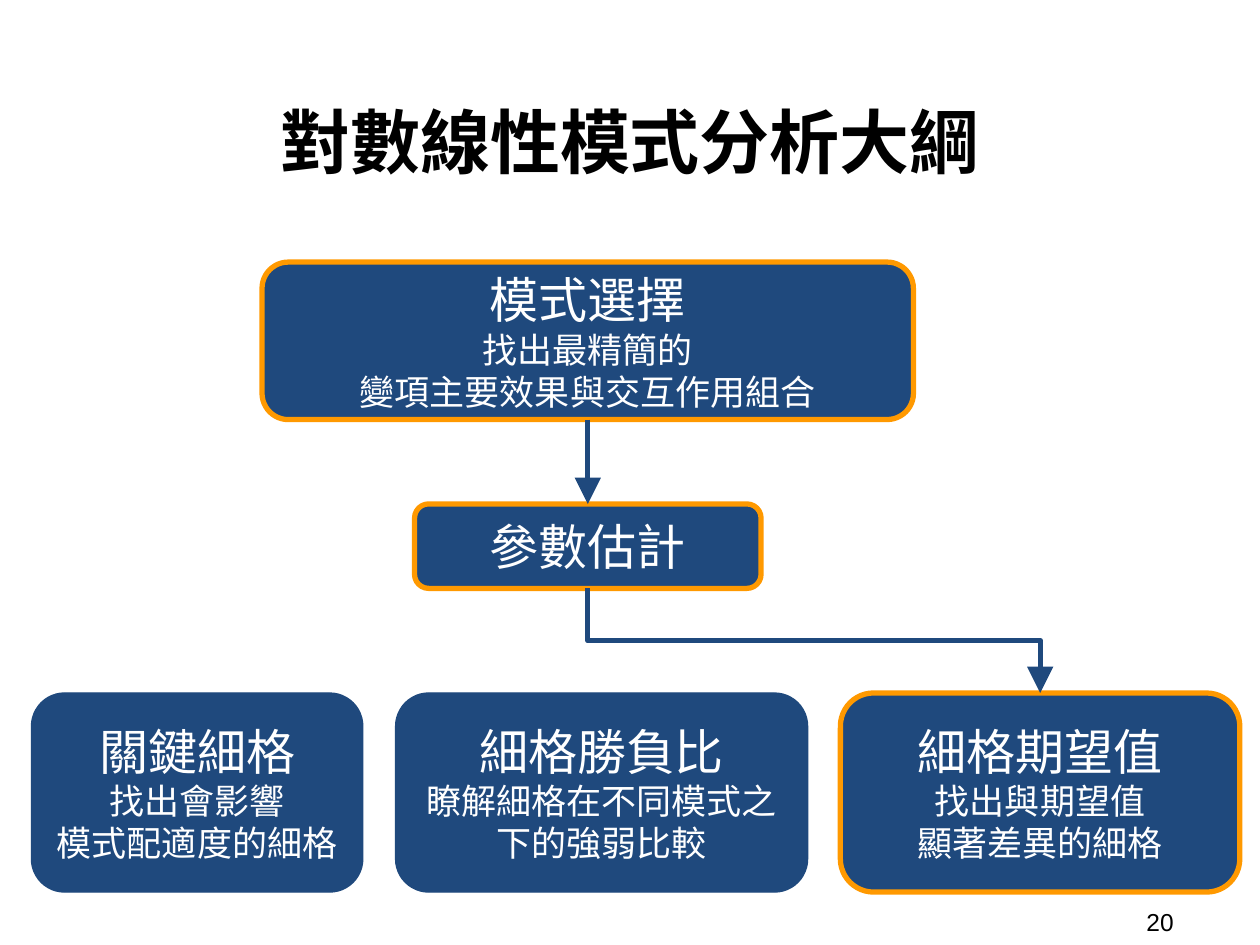
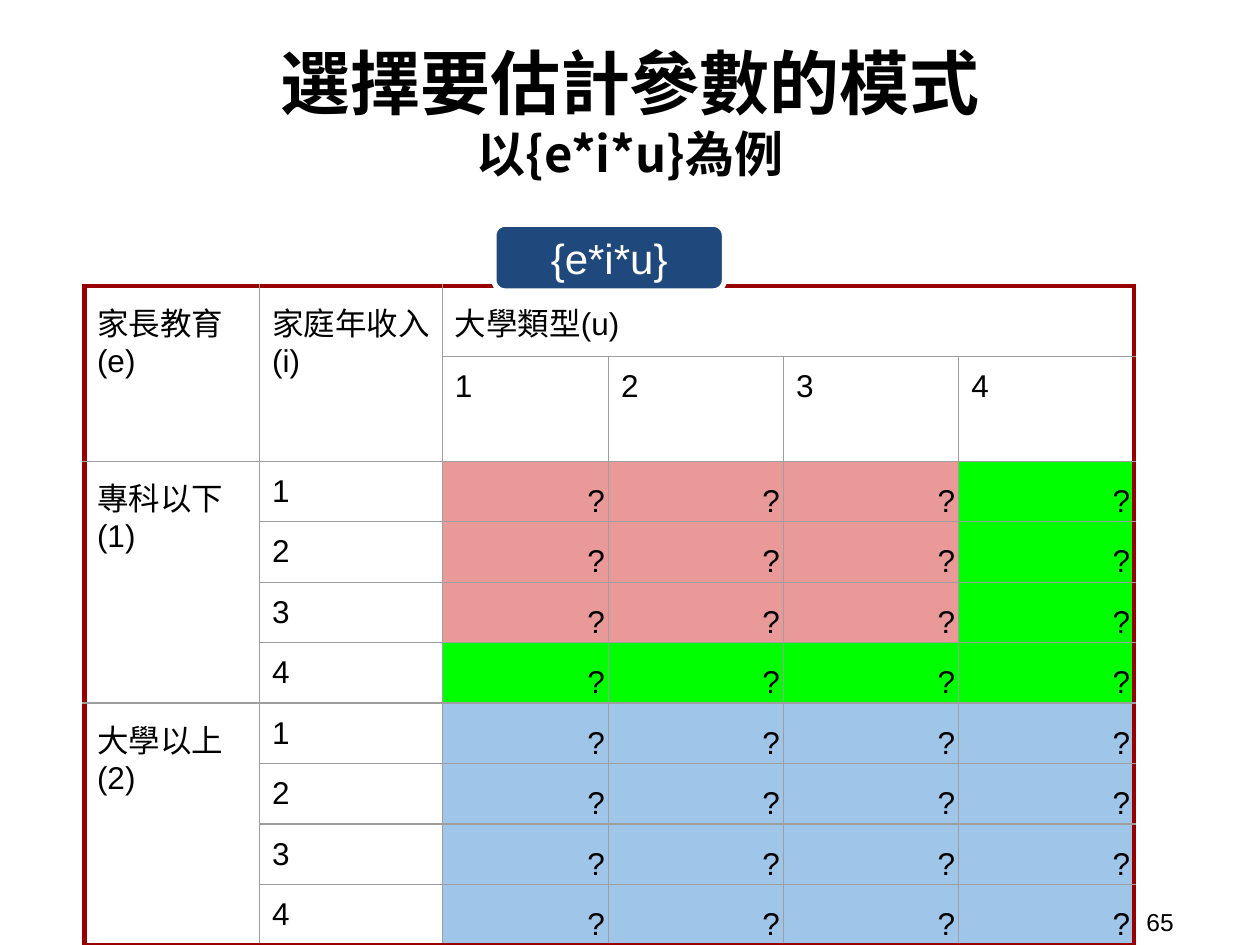
from lxml.etree import SubElement
from pptx import Presentation
from pptx.dml.color import RGBColor
from pptx.enum.shapes import MSO_CONNECTOR, MSO_SHAPE
from pptx.enum.text import MSO_ANCHOR, PP_ALIGN
from pptx.oxml.ns import qn
from pptx.util import Inches, Pt

# Shared look
NAVY, ORANGE, WHITE, BLACK = "1F497D", "FF9900", "FFFFFF", "000000"
GREY, DARK_RED = "9E9E9E", "980000"
PINK, GREEN, BLUE = "EA9999", "00FF00", "9FC5E8"
LATIN, HAN = "Arial", "Noto Sans CJK TC"


def color(code):
    return RGBColor.from_string(code)


def write(frame, lines, size=18, font=LATIN, ink=BLACK, bold=False,
          align=PP_ALIGN.LEFT, anchor=MSO_ANCHOR.TOP, pad=(0.1, 0.1)):
    """Fill a frame; each line is text or a (text, size) pair, \\v breaks a line."""
    frame.word_wrap = True
    frame.vertical_anchor = anchor
    frame.margin_left = frame.margin_right = Inches(pad[0])
    frame.margin_top = frame.margin_bottom = Inches(pad[1])
    for i, line in enumerate(lines):
        text, points = line if isinstance(line, tuple) else (line, size)
        para = frame.add_paragraph() if i else frame.paragraphs[0]
        para.text = text
        para.alignment = align
        for run in para.runs:
            run.font.size = Pt(points)
            run.font.bold = bold
            run.font.name = font
            run.font.color.rgb = color(ink)
            SubElement(run.font._element, qn("a:ea"), typeface=HAN)


def text_box(slide, box, lines, **style):
    shape = slide.shapes.add_textbox(*map(Inches, box))
    write(shape.text_frame, lines, **style)


def new_slide(deck, title, number):
    """Add a slide with its title and page number."""
    slide = deck.slides.add_slide(deck.slide_layouts[6])
    text_box(slide, (0.52, 0.19, 8.96, 1.36), title, size=40, font=HAN,
             bold=True, align=PP_ALIGN.CENTER, anchor=MSO_ANCHOR.BOTTOM)
    text_box(slide, (9, 7.17, 0.92, 0.29), [number], size=14,
             anchor=MSO_ANCHOR.MIDDLE, pad=(0.1, 0.05))
    return slide


def node(slide, box, lines, edge=ORANGE, width=3):
    """Draw a navy rounded box with centred white text."""
    shape = slide.shapes.add_shape(MSO_SHAPE.ROUNDED_RECTANGLE, *map(Inches, box))
    shape.shadow.inherit = False
    shape.fill.solid()
    shape.fill.fore_color.rgb = color(NAVY)
    shape.line.color.rgb = color(edge)
    shape.line.width = Pt(width)
    write(shape.text_frame, lines, size=28, ink=WHITE,
          align=PP_ALIGN.CENTER, anchor=MSO_ANCHOR.MIDDLE)
    return shape


def arrow(slide, upper, lower, bent=False):
    """Lead from the bottom of one box to the top of another."""
    kind = MSO_CONNECTOR.ELBOW if bent else MSO_CONNECTOR.STRAIGHT
    link = slide.shapes.add_connector(kind, 0, 0, 0, 0)
    link.begin_connect(upper, 2)
    link.end_connect(lower, 0)
    if bent:  # turn the elbow so that it leaves downwards
        across, down = link.width, link.height
        mid_x, mid_y = link.left + across // 2, link.top + down // 2
        link.left, link.top = mid_x - down // 2, mid_y - across // 2
        link.width, link.height = down, across
        frame = link._element.spPr.find(qn("a:xfrm"))
        frame.set("rot", "16200000")
        frame.set("flipH", "1")
    link.line.color.rgb = color(NAVY)
    link.line.width = Pt(3)
    SubElement(link.line._get_or_add_ln(), qn("a:tailEnd"),
               type="triangle", w="lg", len="lg")
    SubElement(link._element.spPr, qn("a:effectLst"))


def outline(slide):
    """Draw the flow of the analysis."""
    choice = node(slide, (2.08, 2.08, 5.17, 1.25),
                  ["模式選擇", ("找出最精簡的\v變項主要效果與交互作用組合", 20)])
    top, high = 5.5, 1.58
    node(slide, (0.25, top, 2.63, high),
         ["關鍵細格", ("找出會影響\v模式配適度的細格", 20)], edge=NAVY, width=0.75)
    node(slide, (3.14, top, 3.27, high),
         ["細格勝負比", ("瞭解細格在不同模式之下的強弱比較", 20)],
         edge=NAVY, width=0.75)
    hope = node(slide, (6.67, top, 3.17, high),
                ["細格期望值", ("找出與期望值", 20), ("顯著差異的細格", 20)])
    guess = node(slide, (3.29, 4, 2.75, 0.67), ["參數估計"])
    arrow(slide, choice, guess)
    arrow(slide, guess, hope, bent=True)


def border(cell, outer):
    """Rule the four sides: thick red where outer, thin grey elsewhere."""
    props = cell._tc.get_or_add_tcPr()
    for side in "LRTB":
        ink, width = (DARK_RED, 3) if side in outer else (GREY, 0.75)
        line = SubElement(props, qn(f"a:ln{side}"), w=str(Pt(width)))
        SubElement(SubElement(line, qn("a:solidFill")), qn("a:srgbClr"), val=ink)


def inset(cell, side, top, bottom):
    cell.margin_left = cell.margin_right = Inches(side)
    cell.margin_top, cell.margin_bottom = Inches(top), Inches(bottom)


def grid(slide, left, top):
    """Draw the table of two education levels by income and school type."""
    widths = [1.39, 1.45, 1.32] + [1.39] * 3
    heights = [0.56, 0.83] + [0.48] * 8
    rows, cols = len(heights), len(widths)
    table = slide.shapes.add_table(
        rows, cols, Inches(left), Inches(top),
        Inches(sum(widths)), Inches(sum(heights))).table
    for col, width in zip(table.columns, widths):
        col.width = Inches(width)
    for row, height in zip(table.rows, heights):
        row.height = Inches(height)

    # Labels, as (row, column): lines
    labels = {(0, 0): ["家長教育", "(e)"], (0, 1): ["家庭年收入", "(i)"],
              (0, 2): ["大學類型(u)"],
              (2, 0): ["專科以下", "(1)"], (6, 0): ["大學以上", "(2)"]}
    labels.update({(1, c): [str(c - 1)] for c in range(2, cols)})
    labels.update({(r, 1): [str((r - 2) % 4 + 1)] for r in range(2, rows)})
    for first, last in [((0, 0), (1, 0)), ((0, 1), (1, 1)), ((0, 2), (0, 5)),
                        ((2, 0), (5, 0)), ((6, 0), (9, 0))]:
        table.cell(*first).merge(table.cell(*last))

    for r in range(rows):
        for c in range(cols):
            cell = table.cell(r, c)
            if cell.is_spanned:  # keep merged cells from stretching their rows
                inset(cell, 0, 0, 0)
                continue
            sides = {"L": c == 0, "T": r == 0,
                     "R": c + cell.span_width == cols,
                     "B": r + cell.span_height == rows}
            border(cell, [side for side, edge in sides.items() if edge])
            if (r, c) in labels:
                fill = WHITE
                write(cell.text_frame, labels[r, c])
                cell.vertical_anchor = MSO_ANCHOR.TOP
                inset(cell, 0.1, 0.1, 0.02)
            else:
                fill = BLUE if r > 5 else GREEN if r == 5 or c == 5 else PINK
                write(cell.text_frame, ["?"], align=PP_ALIGN.RIGHT)
                cell.vertical_anchor = MSO_ANCHOR.BOTTOM
                inset(cell, 0.03, 0.02, 0.02)
            cell.fill.solid()
            cell.fill.fore_color.rgb = color(fill)


def main():
    deck = Presentation()
    deck.slide_width, deck.slide_height = Inches(10), Inches(7.5)

    outline(new_slide(deck, ["對數線性模式分析大綱"], "20"))

    model = new_slide(deck, ["選擇要估計參數的模式", ("以{e*i*u}為例", 28)], "65")
    grid(model, 0.67, 2.27)
    node(model, (3.92, 1.78, 1.83, 0.53), [("{e*i*u}", 24)], edge=WHITE)

    deck.save("out.pptx")


if __name__ == "__main__":
    main()
